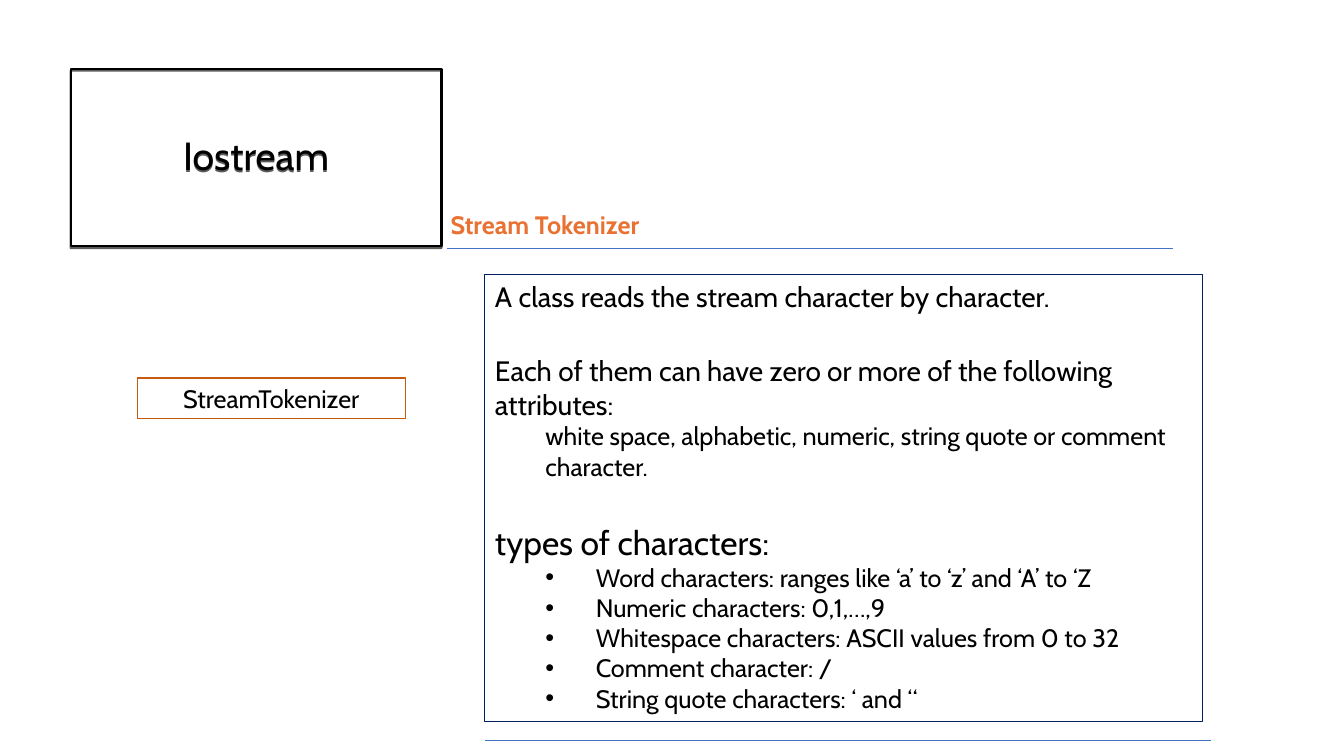
from lxml.etree import SubElement
from pptx import Presentation
from pptx.dml.color import RGBColor as RGB
from pptx.enum.shapes import MSO_CONNECTOR as CONNECTOR, MSO_SHAPE as SHAPE
from pptx.enum.text import MSO_ANCHOR as ANCHOR, MSO_AUTO_SIZE as FIT, PP_ALIGN as ALIGN
from pptx.oxml.ns import qn
from pptx.util import Inches, Pt

FONT = "Cabin"
COLORS = {"text": "000000", "navy": "002060", "rule": "4472C4",
          "heading": "E97132", "tag": "C55A11"}

prs = Presentation()
prs.slide_width, prs.slide_height = Inches(13.33), Inches(7.5)


def share(x, y):
    """Turn percentages of the slide's width and height into lengths."""
    return int(prs.slide_width * x / 100), int(prs.slide_height * y / 100)


def place(sp, left, top, width, height):
    sp.left, sp.top = share(left, top)
    sp.width, sp.height = share(width, height)


def outline(sp, color, width=0.75):
    sp.fill.background()
    sp.line.color.rgb = RGB.from_string(COLORS[color])
    sp.line.width = Pt(width)


def add_text(tf, text, size=18, color="text", bold=False, align=ALIGN.LEFT,
             before=0, spacing=None, margin=0, hang=0, bullet=None):
    """Fill the first paragraph if it is empty, otherwise append one."""
    p = tf.paragraphs[0] if not tf.text else tf.add_paragraph()
    p.alignment, p.line_spacing, p.space_before = align, spacing, Pt(before)
    pPr = p._p.get_or_add_pPr()
    pPr.set("marL", str(Inches(margin)))
    pPr.set("indent", str(-Inches(hang)))
    if bullet:
        SubElement(pPr, qn("a:buFont"), typeface="Arial")
        SubElement(pPr, qn("a:buChar"), char=bullet)
    else:
        SubElement(pPr, qn("a:buNone"))
    r = p.add_run()
    r.text = text
    r.font.name, r.font.size, r.font.bold = FONT, Pt(size), bold
    r.font.color.rgb = RGB.from_string(COLORS[color])


def set_frame(sp, anchor=ANCHOR.TOP):
    tf = sp.text_frame
    tf.word_wrap, tf.auto_size, tf.vertical_anchor = True, FIT.NONE, anchor
    return tf


def add_shadow(sp):
    effects = SubElement(sp._element.spPr, qn("a:effectLst"))
    shadow = SubElement(effects, qn("a:outerShdw"), blurRad="0", dist=str(Pt(1.5)),
                        dir="5400000", algn="ctr", rotWithShape="0")
    color = SubElement(shadow, qn("a:srgbClr"), val=COLORS["text"])
    SubElement(color, qn("a:alpha"), val="63000")


def add_rule(s, left, right, y):
    rule = s.shapes.add_connector(CONNECTOR.STRAIGHT, *share(left, y), *share(right, y))
    rule.line.color.rgb = RGB.from_string(COLORS["rule"])
    rule.line.width = Pt(0.5)
    SubElement(rule._element.spPr, qn("a:effectLst"))


def fill_title(s):
    title = s.shapes.title
    place(title, 5.25, 9.07, 27.6, 23.47)
    outline(title, "text", 1.5)
    add_shadow(title)
    add_text(set_frame(title, ANCHOR.MIDDLE), "Iostream", size=28,
             align=ALIGN.CENTER, spacing=0.9)


def fill_body(s):
    body = s.placeholders[1]
    place(body, 36.08, 36.27, 53.4, 59.2)
    outline(body, "navy")
    tf = set_frame(body)
    add_text(tf, "A class reads the stream character by character.", size=20)
    add_text(tf, "Each of them can have zero or more of the following attributes:",
             size=20, before=29)
    add_text(tf, "white space, alphabetic, numeric, string quote or comment character.",
             margin=0.5)
    add_text(tf, "types of characters:", size=24, before=29)
    for kind in ("Word characters: ranges like ‘a’ to ‘z’ and ‘A’ to ‘Z",
                 "Numeric characters: 0,1,…,9",
                 "Whitespace characters: ASCII values from 0 to 32",
                 "Comment character: /",
                 "String quote characters: ‘ and “"):
        add_text(tf, kind, margin=1, hang=0.5, bullet="•")


def add_heading(s):
    box = s.shapes.add_textbox(*share(32.78, 27.07), *share(19.65, 5.33))
    add_text(set_frame(box), "Stream Tokenizer", color="heading", bold=True)


def add_class_tag(s):
    tag = s.shapes.add_shape(SHAPE.RECTANGLE, *share(10.2, 50), *share(19.95, 5.33))
    tag.shadow.inherit = False
    outline(tag, "tag")
    add_text(set_frame(tag), "StreamTokenizer", align=ALIGN.CENTER)


def main():
    s = prs.slides.add_slide(prs.slide_layouts[1])
    fill_title(s)
    fill_body(s)
    add_rule(s, 33.23, 87.3, 32.8)
    add_rule(s, 36.08, 90.08, 97.87)
    add_heading(s)
    add_class_tag(s)
    prs.save("out.pptx")


if __name__ == "__main__":
    main()
